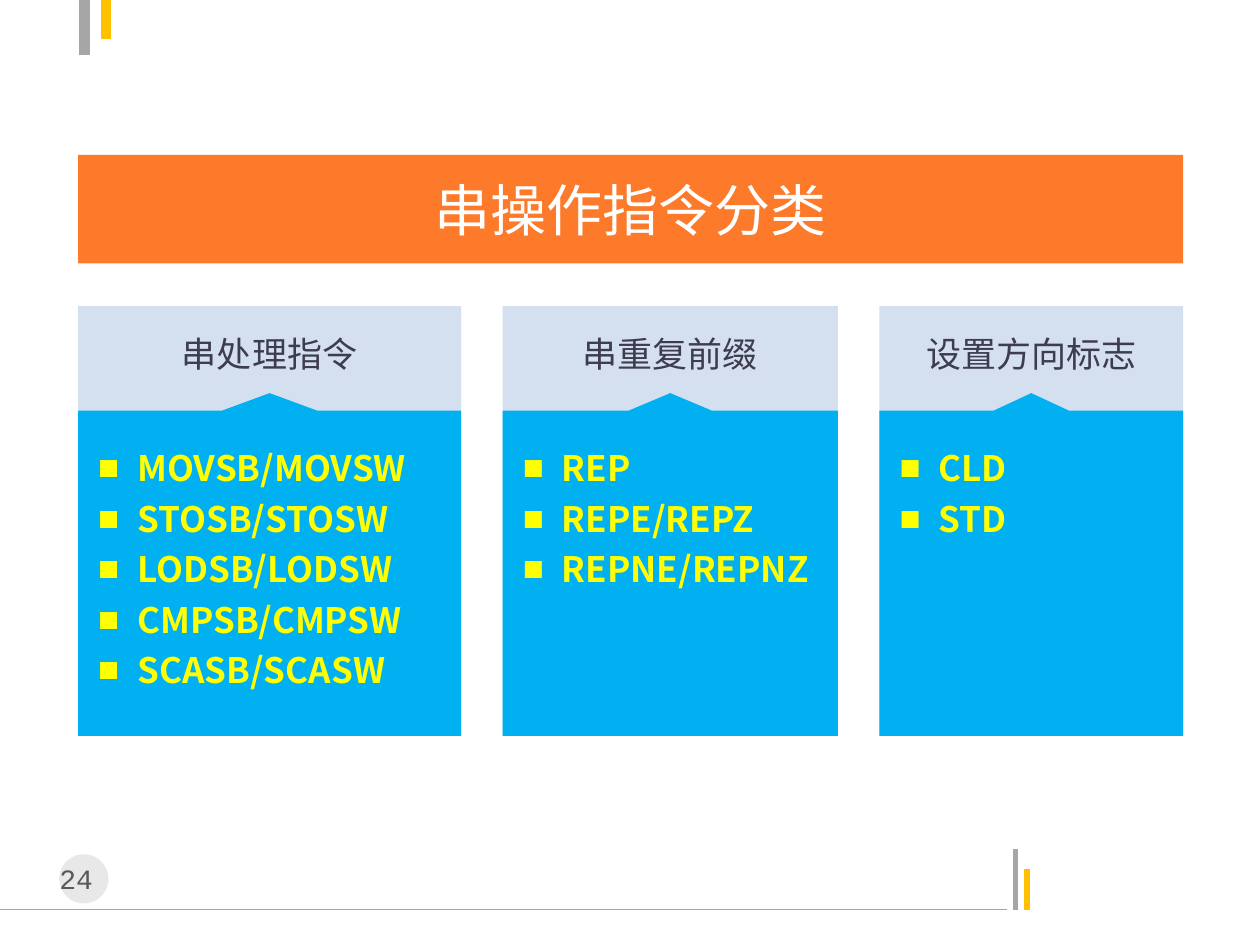
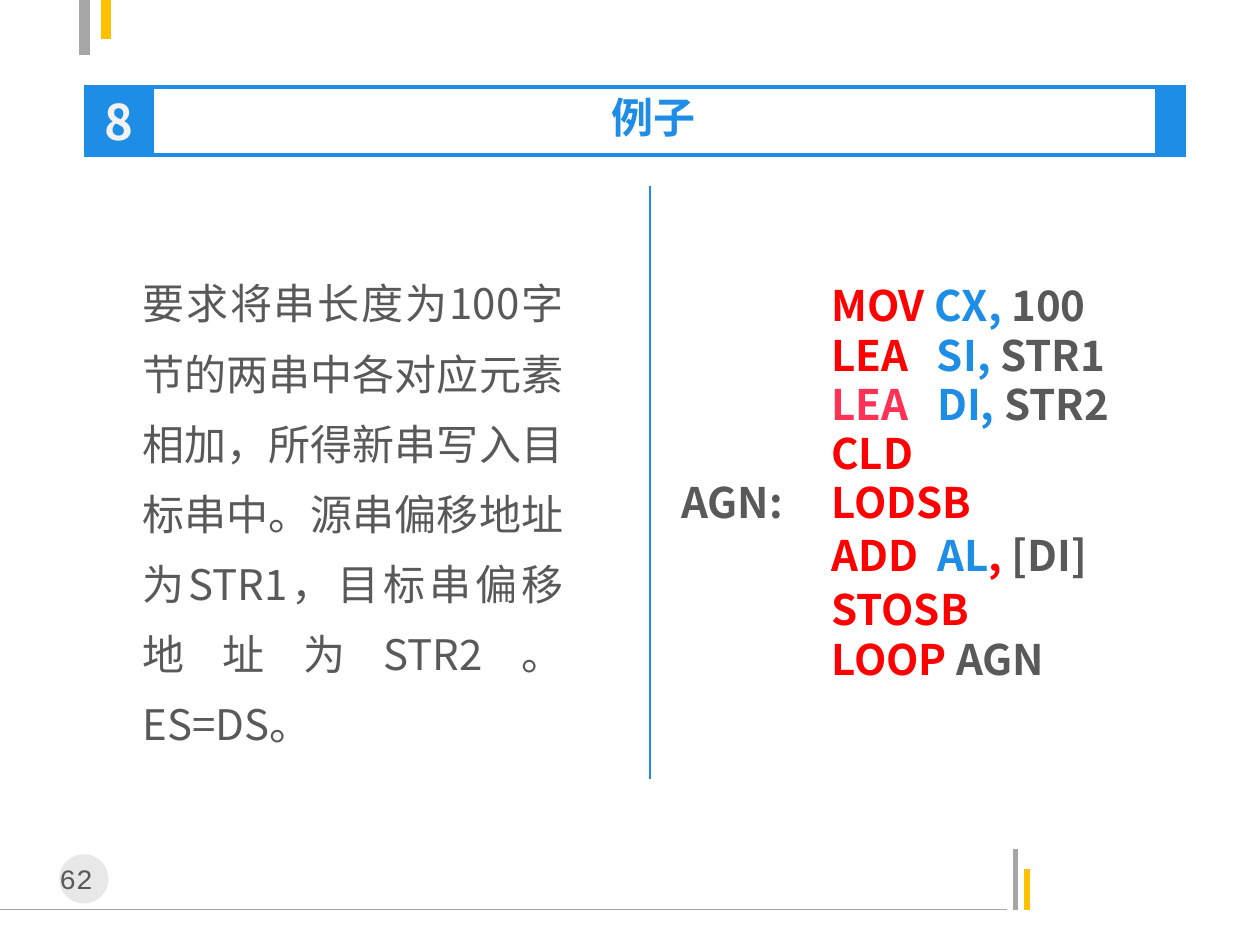
from dataclasses import dataclass

from lxml.etree import SubElement
from pptx import Presentation
from pptx.dml.color import RGBColor
from pptx.enum.shapes import MSO_CONNECTOR, MSO_SHAPE
from pptx.enum.text import MSO_ANCHOR, MSO_AUTO_SIZE, PP_ALIGN
from pptx.oxml.ns import qn
from pptx.util import Inches, Pt


@dataclass(frozen=True)
class Theme:
    font: str = "Noto Sans CJK SC"
    number_font: str = "Courier New"
    grey: str = "A6A6A6"
    gold: str = "FFC000"
    disc: str = "BFBFBF"
    text: str = "595959"
    white: str = "FFFFFF"
    pale: str = "F2F2F2"
    orange: str = "FD7A2A"
    panel: str = "95B3D7"
    heading: str = "3E3D4F"
    card: str = "00B0F0"
    yellow: str = "FFFF00"
    blue: str = "1D8DE5"
    red: str = "FF0000"
    rose: str = "FF3255"
    banner_size: int = 32
    badge_size: int = 28
    body_size: int = 24
    list_size: int = 20
    number_size: int = 16


THEME = Theme()

# ---- Content ----
CATEGORY_TITLE = "串操作指令分类"
CATEGORY_PAGE = "24"
# heading, column width, instructions
CATEGORIES = [
    ("串处理指令", 3.04,
     ["MOVSB/MOVSW", "STOSB/STOSW", "LODSB/LODSW", "CMPSB/CMPSW", "SCASB/SCASW"]),
    ("串重复前缀", 2.66, ["REP", "REPE/REPZ", "REPNE/REPNZ"]),
    ("设置方向标志", 2.41, ["CLD", "STD"]),
]

EXAMPLE_TITLE = "例子"
EXAMPLE_NUMBER = "8"
EXAMPLE_PAGE = "62"
TASK = ("要求将串长度为100字节的两串中各对应元素相加，所得新串写入目标串中。"
        "源串偏移地址为STR1，目标串偏移地址为STR2。ES=DS。")
LABEL = "AGN:"
LABEL_ROW = 4
# top, coloured pieces of the code line
CODE = [
    (2.05, [("MOV", THEME.red), (" CX, ", THEME.blue), ("100", THEME.text)]),
    (2.45, [("LEA  ", THEME.red), (" SI, ", THEME.blue), ("STR1", THEME.text)]),
    (2.84, [("LEA", THEME.rose), ("   DI, ", THEME.blue), ("STR2", THEME.text)]),
    (3.23, [("CLD", THEME.red)]),
    (3.62, [("LODSB", THEME.red)]),
    (4.04, [("ADD  ", THEME.red), ("AL", THEME.blue), (", ", THEME.red),
            ("[DI]", THEME.text)]),
    (4.47, [("STOSB", THEME.red)]),
    (4.86, [("LOOP ", THEME.red), ("AGN", THEME.text)]),
]

# Lines on every slide: start, end, colour, width
FRAME_LINES = [
    ((0, 7.22), (7.99, 7.22), THEME.grey, 0.75),
    ((8.06, 7.22), (8.06, 6.74), THEME.grey, 3),
    ((8.15, 7.22), (8.15, 6.9), THEME.gold, 3),
    ((0.67, 0.44), (0.67, 0), THEME.grey, 6),
    ((0.84, 0), (0.84, 0.31), THEME.gold, 6),
]

# ---- Grid, in inches ----
LEFT, BANNER_WIDTH, COLUMN_GAP = 0.62, 8.77, 0.33
PANEL_TOP, CARD_TOP, CARD_SHOULDER, CARD_BOTTOM = 2.43, 3.12, 3.26, 5.84
BAR_LEFT, BAR_RIGHT, BAR_TOP, BAR_BOTTOM = 0.67, 9.41, 0.69, 1.23
BADGE_WIDTH, CAP_WIDTH = 0.55, 0.24


# ---- Helpers ----
def rgb(colour):
    return RGBColor.from_string(colour)


def place(shape, left, top, width, height):
    shape.left, shape.top = Inches(left), Inches(top)
    shape.width, shape.height = Inches(width), Inches(height)


def paint(shape, fill, alpha=None, line=None):
    shape.shadow.inherit = False
    shape.fill.solid()
    shape.fill.fore_color.rgb = rgb(fill)
    if alpha:
        colour = shape.fill._xPr.find(qn("a:solidFill"))[0]
        SubElement(colour, qn("a:alpha"), val=str(alpha * 1000))
    if line:
        shape.line.color.rgb = rgb(line)
        shape.line.width = Pt(0.75)
    else:
        shape.line.fill.background()


def add_block(slide, kind, box, fill, alpha=None, line=None):
    shape = slide.shapes.add_shape(kind, *map(Inches, box))
    paint(shape, fill, alpha, line)
    return shape


def add_line(slide, start, end, colour, width):
    line = slide.shapes.add_connector(
        MSO_CONNECTOR.STRAIGHT, *map(Inches, start + end))
    line.line.color.rgb = rgb(colour)
    line.line.width = Pt(width)
    SubElement(line._element.spPr, qn("a:effectLst"))


def add_run(paragraph, text, size, colour, bold=False, font=THEME.font):
    run = paragraph.add_run()
    run.text = text
    run.font.name, run.font.size, run.font.bold = font, Pt(size), bold
    run.font.color.rgb = rgb(colour)
    SubElement(run._r.get_or_add_rPr(), qn("a:ea"), typeface=font)


def set_bullet(paragraph, character=None, indent=0):
    properties = paragraph._p.get_or_add_pPr()
    properties.set("marL", str(Inches(indent)))
    properties.set("indent", str(-Inches(indent)))
    if character:
        SubElement(properties, qn("a:buFont"), typeface="Arial")
        SubElement(properties, qn("a:buChar"), char=character)
    else:
        SubElement(properties, qn("a:buNone"))


def write(shape, pieces, size, bold=False, align=PP_ALIGN.LEFT,
          anchor=MSO_ANCHOR.TOP, spacing=1.0, font=THEME.font):
    """Write one paragraph made of (text, colour) pieces."""
    frame = shape.text_frame
    frame.word_wrap = True
    frame.auto_size = MSO_AUTO_SIZE.NONE
    frame.vertical_anchor = anchor
    paragraph = frame.paragraphs[0]
    paragraph.alignment, paragraph.line_spacing = align, spacing
    for text, colour in pieces:
        add_run(paragraph, text, size, colour, bold, font)
    return paragraph


def add_text(slide, box, pieces, size, **options):
    return write(slide.shapes.add_textbox(*map(Inches, box)), pieces, size, **options)


def add_framed_slide(presentation, layout_index, page):
    slide = presentation.slides.add_slide(presentation.slide_layouts[layout_index])
    for line in FRAME_LINES:
        add_line(slide, *line)
    add_block(slide, MSO_SHAPE.OVAL, (0.47, 6.78, 0.39, 0.39), THEME.disc, alpha=35)
    add_text(slide, (0.25, 6.79, 0.71, 0.37), [(page, THEME.text)],
             THEME.number_size, align=PP_ALIGN.CENTER, font=THEME.number_font)
    return slide


# ---- Category cards ----
def add_card(slide, left, width, instructions):
    middle, notch, right = left + width / 2, width / 8, left + width
    outline = [(middle + notch, CARD_SHOULDER), (right, CARD_SHOULDER),
               (right, CARD_BOTTOM), (left, CARD_BOTTOM),
               (left, CARD_SHOULDER), (middle - notch, CARD_SHOULDER)]
    builder = slide.shapes.build_freeform(Inches(middle), Inches(CARD_TOP))
    builder.add_line_segments([(Inches(x), Inches(y)) for x, y in outline])
    card = builder.convert_to_shape()
    paint(card, THEME.card)
    frame = card.text_frame
    frame.word_wrap = True
    frame.vertical_anchor = MSO_ANCHOR.TOP
    frame.margin_left = frame.margin_right = Inches(0.16)
    frame.margin_top = Inches(0.36)
    for index, instruction in enumerate(instructions):
        paragraph = frame.add_paragraph() if index else frame.paragraphs[0]
        set_bullet(paragraph, "■", 0.31)
        paragraph.alignment, paragraph.line_spacing = PP_ALIGN.LEFT, 1.2
        add_run(paragraph, instruction, THEME.list_size, THEME.yellow, bold=True)


def build_categories(presentation):
    slide = add_framed_slide(presentation, 5, CATEGORY_PAGE)
    title = slide.shapes.title
    place(title, LEFT, 1.23, BANNER_WIDTH, 0.86)
    paint(title, THEME.orange)
    write(title, [(CATEGORY_TITLE, THEME.white)], THEME.banner_size,
          align=PP_ALIGN.CENTER, anchor=MSO_ANCHOR.MIDDLE)
    left = LEFT
    for heading, width, instructions in CATEGORIES:
        add_block(slide, MSO_SHAPE.RECTANGLE,
                  (left, PANEL_TOP, width, CARD_BOTTOM - PANEL_TOP), THEME.panel, alpha=40)
        add_card(slide, left, width, instructions)
        add_text(slide, (left, 2.59, width, 0.44), [(heading, THEME.heading)],
                 THEME.list_size, align=PP_ALIGN.CENTER)
        left += width + COLUMN_GAP


# ---- Worked example ----
def build_example(presentation):
    slide = add_framed_slide(presentation, 1, EXAMPLE_PAGE)

    # Title bar with number badge and end cap
    for y in (BAR_TOP, BAR_BOTTOM):
        add_line(slide, (BAR_LEFT, y), (BAR_RIGHT, y), THEME.blue, 2.25)
    bar_height = BAR_BOTTOM - BAR_TOP
    badge, _ = [
        add_block(slide, MSO_SHAPE.RECTANGLE, (left, BAR_TOP, width, bar_height),
                  THEME.blue, line=THEME.blue)
        for left, width in ((BAR_LEFT, BADGE_WIDTH), (BAR_RIGHT - CAP_WIDTH, CAP_WIDTH))]
    write(badge, [(EXAMPLE_NUMBER, THEME.pale)], THEME.badge_size, bold=True,
          align=PP_ALIGN.CENTER, anchor=MSO_ANCHOR.MIDDLE)
    title = slide.shapes.title
    place(title, BAR_LEFT + BADGE_WIDTH, 0.68, 7.94, 0.5)
    write(title, [(EXAMPLE_TITLE, THEME.blue)], THEME.body_size, bold=True,
          align=PP_ALIGN.CENTER)

    # Task on the left, code on the right
    body = slide.placeholders[1]
    place(body, 1.03, 2, 3.54, 4.1)
    set_bullet(body.text_frame.paragraphs[0])
    task = write(body, [(TASK, THEME.text)], THEME.body_size,
                 align=PP_ALIGN.JUSTIFY, spacing=1.39)
    task.space_before, task.space_after = Pt(0), Pt(6)
    add_line(slide, (5.16, 1.48), (5.16, 6.18), THEME.blue, 1)
    for top, pieces in CODE:
        add_text(slide, (6.5, top, 2.83, 0.6), pieces, THEME.body_size,
                 bold=True, spacing=1.29)
    add_text(slide, (5.31, CODE[LABEL_ROW][0], 1.19, 0.6), [(LABEL, THEME.text)],
             THEME.body_size, bold=True, spacing=1.29)


def main():
    presentation = Presentation()
    presentation.slide_width, presentation.slide_height = Inches(10), Inches(7.5)
    build_categories(presentation)
    build_example(presentation)
    presentation.save("out.pptx")


if __name__ == "__main__":
    main()
